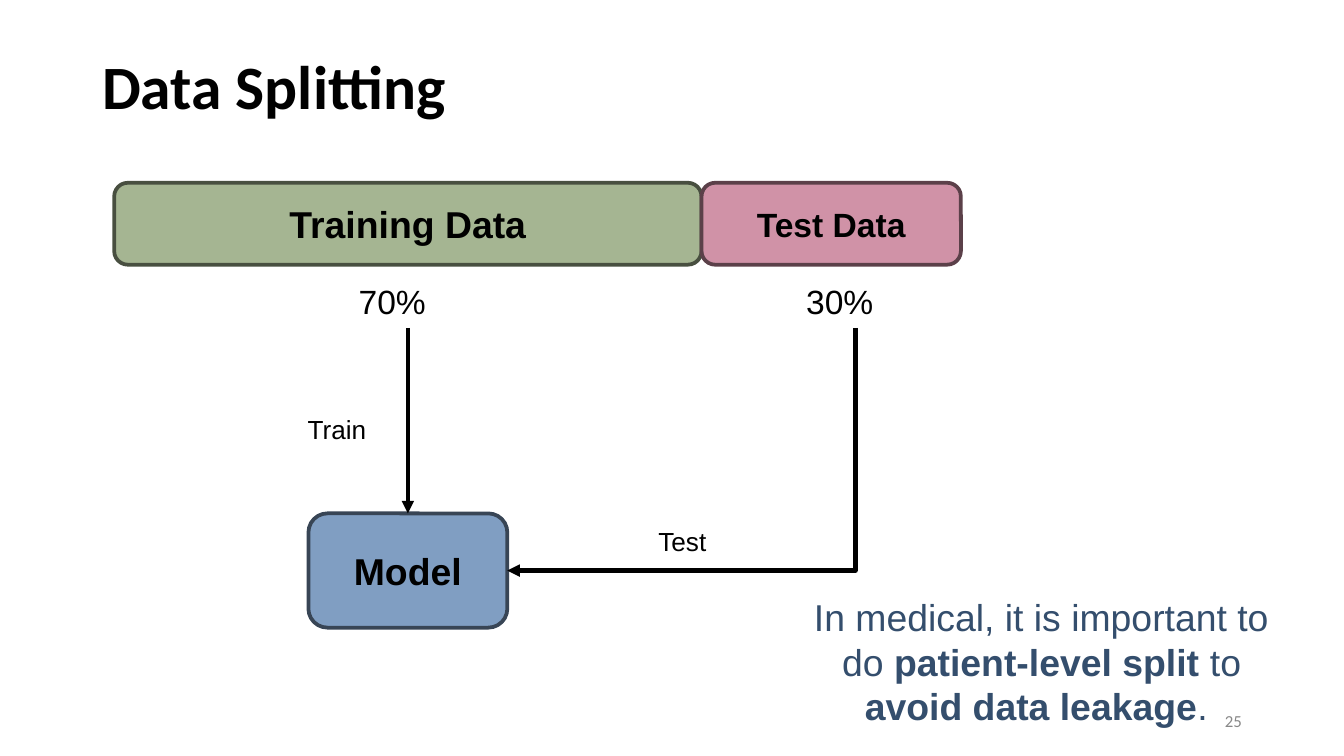
from lxml import etree
from pptx import Presentation
from pptx import util as u
from pptx.dml.color import RGBColor
from pptx.enum import shapes as es, text as et
from pptx.oxml.ns import qn

BLACK, GREY, NAVY = "000000", "888888", "344E6D"
LEFT, CENTER, RIGHT = et.PP_ALIGN.LEFT, et.PP_ALIGN.CENTER, et.PP_ALIGN.RIGHT
TIGHT = dict(margin_left=u.Inches(0.07), margin_right=u.Inches(0.07),
             margin_top=u.Inches(0.04), margin_bottom=u.Inches(0.04),
             vertical_anchor=et.MSO_ANCHOR.MIDDLE)


def color(hex_value):
    return RGBColor.from_string(hex_value)


def apply(target, values):
    for name, value in values.items():
        setattr(target, name, value)


def write(shape, runs, size, ink=BLACK, align=LEFT, font="Arial", frame_format=None):
    """Fill a shape with one paragraph of (words, bold) runs."""
    frame = shape.text_frame
    apply(frame, dict(word_wrap=True, **(frame_format or {})))
    paragraph = frame.paragraphs[0]
    paragraph.alignment = align
    for words, bold in runs:
        run = paragraph.add_run()
        run.text = words
        apply(run.font, dict(name=font, size=u.Pt(size), bold=bold))
        run.font.color.rgb = color(ink)
    return paragraph


def label(slide, box, runs, size, **style):
    textbox = slide.shapes.add_textbox(*map(u.Inches, box))
    return textbox, write(textbox, runs, size, **style)


def block(slide, box, words, size, fill, border):
    shape = slide.shapes.add_shape(es.MSO_SHAPE.ROUNDED_RECTANGLE, *map(u.Inches, box))
    shape.shadow.inherit = False
    shape.fill.solid()
    shape.fill.fore_color.rgb = color(fill)
    shape.line.color.rgb = color(border)
    shape.line.width = u.Pt(2)
    write(shape, [(words, True)], size, align=CENTER,
          frame_format=dict(vertical_anchor=et.MSO_ANCHOR.MIDDLE))
    return shape


def arrow(slide, kind, start, end):
    line = slide.shapes.add_connector(kind, *map(u.Inches, start + end))
    line.line.color.rgb = color(BLACK)
    line.line.width = u.Pt(2.25)
    etree.SubElement(line.line._get_or_add_ln(), qn("a:tailEnd"), type="triangle")
    etree.SubElement(line._element.spPr, qn("a:effectLst"))
    return line


def down_then_left_arrow(slide, start, end):
    """One-bend elbow: a right-then-down connector turned by 90 degrees."""
    (x1, y1), (x2, y2) = start, end
    mid_x, mid_y = (x1 + x2) / 2, (y1 + y2) / 2
    half_w, half_h = (y2 - y1) / 2, (x1 - x2) / 2
    line = arrow(slide, es.MSO_CONNECTOR.ELBOW,
                 (mid_x - half_w, mid_y - half_h), (mid_x + half_w, mid_y + half_h))
    properties = line._element.spPr
    properties.find(qn("a:prstGeom")).set("prst", "bentConnector2")
    properties.find(qn("a:xfrm")).set("rot", str(90 * 60000))


def header(slide, box):
    _, paragraph = label(slide, box, [("Data Splitting", True)], 33,
                         font="Calibri", frame_format=TIGHT)
    paragraph.line_spacing = 0.9


def split_diagram(slide, box):
    x, y, width, height = box
    train_width, bar_height = 4.37, 0.61

    # Data bar, split into training and test
    block(slide, (x, y, train_width, bar_height), "Training Data", 20, "A5B592", "484F40")
    block(slide, (x + train_width, y, width - train_width, bar_height),
          "Test Data", 18, "D092A7", "5B4049")

    # Shares below the bar
    share_y, share_w, share_h = y + 0.68, 0.93, 0.4
    train_x, test_x = x + 1.72, x + 5.05
    train_share, _ = label(slide, (train_x, share_y, share_w, share_h), [("70%", False)], 18)
    label(slide, (test_x, share_y, share_w, share_h), [("30%", False)], 18)

    # Model, centred under the training share
    model_w, model_h = 1.48, 0.85
    model_x = train_x + (share_w - model_w) / 2
    model_y = y + height - model_h
    model = block(slide, (model_x, model_y, model_w, model_h),
                  "Model", 20, "809EC2", "384555")

    # Arrows into the model
    train_mid, share_bottom = train_x + share_w / 2, share_y + share_h
    train_arrow = arrow(slide, es.MSO_CONNECTOR.STRAIGHT,
                        (train_mid, share_bottom), (train_mid, model_y))
    train_arrow.begin_connect(train_share, 2)
    train_arrow.end_connect(model, 0)
    down_then_left_arrow(slide, (test_x + share_w / 2, share_bottom),
                         (model_x + model_w, model_y + model_h / 2))

    # Arrow labels
    for words, dx, dy in (("Train", 1.34, 1.67), ("Test", 3.95, 2.5)):
        label(slide, (x + dx, y + dy, 0.93, 0.34), [(words, False)], 14)


def takeaway(slide, box):
    runs = [("In medical, it is important to do ", False), ("patient-level split ", True),
            ("to ", False), ("avoid data leakage", True), (". ", False)]
    label(slide, box, runs, 20, ink=NAVY, align=CENTER)


def page_number(slide, box):
    label(slide, box, [("25", False)], 9, ink=GREY, align=RIGHT,
          font="Calibri", frame_format=TIGHT)


def main():
    deck = Presentation()
    # Widescreen, 16:9
    deck.slide_width = u.Inches(10)
    deck.slide_height = deck.slide_width * 9 // 16
    slide = deck.slides.add_slide(deck.slide_layouts[6])
    header(slide, (0.69, 0.24, 8.12, 0.85))
    page_number(slide, (7.06, 5.21, 2.25, 0.3))
    split_diagram(slide, (0.85, 1.36, 6.3, 3.31))
    takeaway(slide, (5.92, 4.37, 3.66, 1.11))
    deck.save("out.pptx")


if __name__ == "__main__":
    main()
